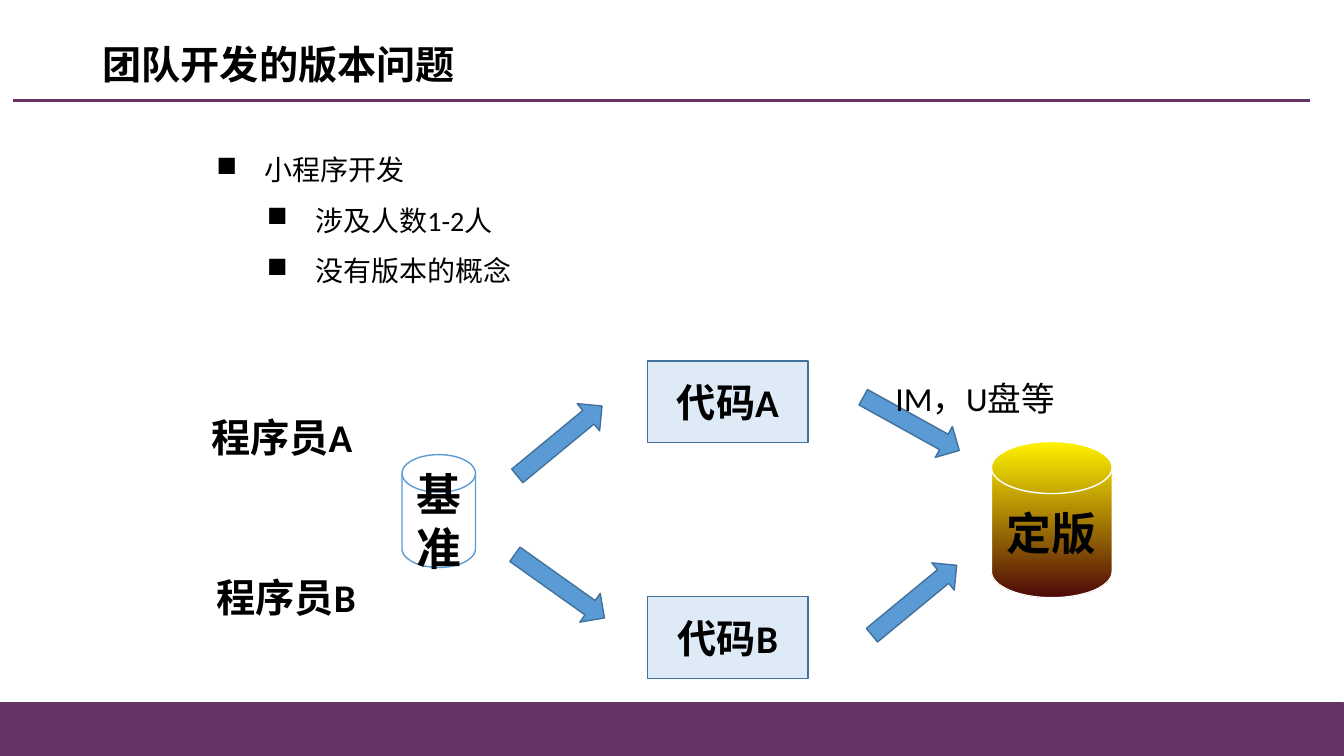
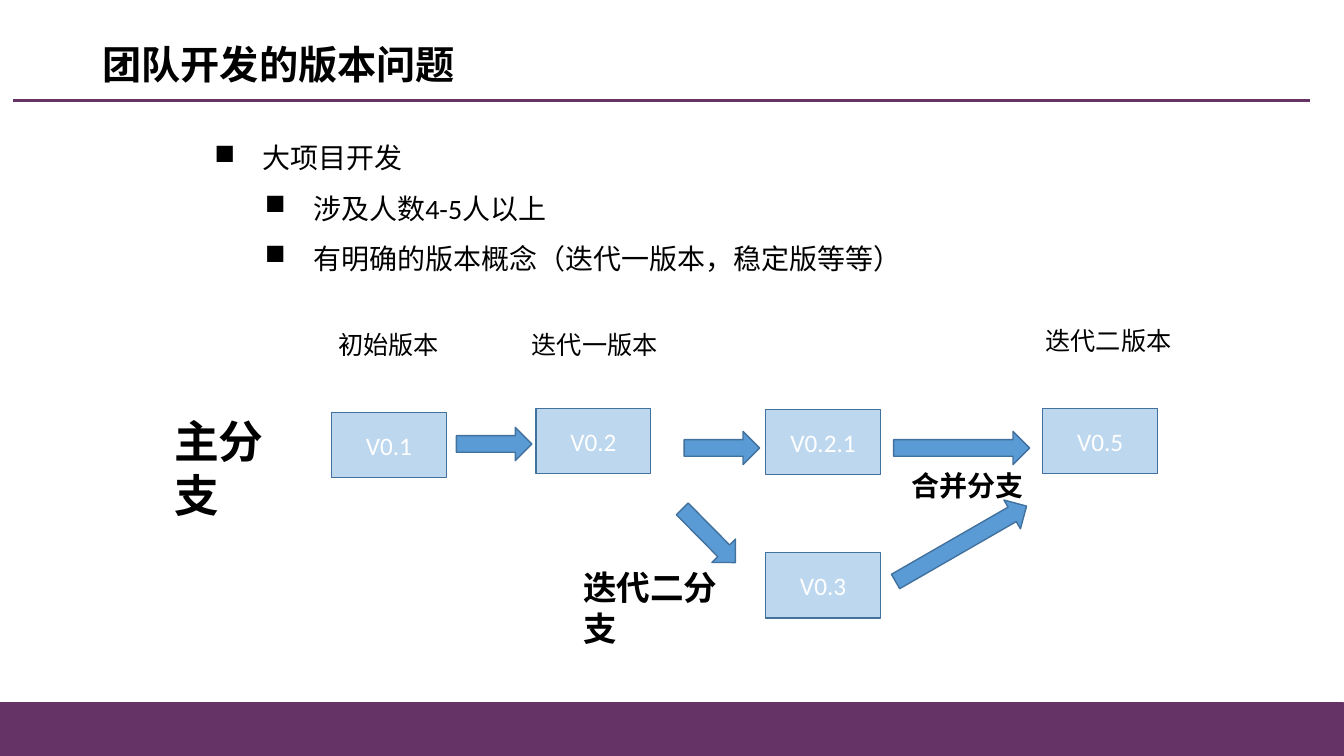
"""Build two slides on version problems in team development."""
from lxml import etree
from pptx import Presentation
from pptx import util as u
from pptx.dml.color import RGBColor
from pptx.enum import shapes, text
from pptx.oxml import ns

PURPLE, BLUE, DARK_BLUE = "663366", "5B9BD5", "41719C"
PALE_BLUE, LIGHT_BLUE = "DEEBF7", "BDD7EE"
BLACK, WHITE = "000000", "FFFFFF"
FONT = "Calibri"
RECT = shapes.MSO_SHAPE.RECTANGLE
ARROW = shapes.MSO_SHAPE.RIGHT_ARROW
DISK = shapes.MSO_SHAPE.FLOWCHART_MAGNETIC_DISK
color = RGBColor.from_string


def add_box(s, kind, box, fill, line, rotation=0):
    sp = s.shapes.add_shape(kind, *map(u.Inches, box))
    sp.shadow.inherit = False
    sp.fill.solid()
    sp.fill.fore_color.rgb = color(fill)
    sp.line.color.rgb = color(line)
    sp.line.width = u.Pt(1)
    sp.rotation = rotation
    return sp


def add_text(s, content, box=None, sp=None, size=18, bold=False, rgb=BLACK,
             wrap=True, anchor="TOP", spacing=None, bullets=False):
    align = text.PP_ALIGN.CENTER if sp else text.PP_ALIGN.LEFT
    fit = text.MSO_AUTO_SIZE.NONE
    if sp is None:
        sp = s.shapes.add_textbox(*map(u.Inches, box))
        if anchor == "TOP":
            fit = text.MSO_AUTO_SIZE.SHAPE_TO_FIT_TEXT
    tf = sp.text_frame
    tf.word_wrap = wrap
    tf.auto_size = fit
    tf.vertical_anchor = text.MSO_ANCHOR[anchor]
    for i, line in enumerate(content.split("\n")):
        p = tf.add_paragraph() if i else tf.paragraphs[0]
        p.alignment = align
        p.line_spacing = spacing
        r = p.add_run()
        r.text = line
        r.font.name, r.font.size, r.font.bold = FONT, u.Pt(size), bold
        r.font.color.rgb = color(rgb)
        if bullets:
            p.level = min(i, 1)
            pPr = p._p.get_or_add_pPr()
            pPr.set("marL", str(u.Inches(0.48 + 0.5 * p.level)))
            pPr.set("indent", str(u.Inches(-0.48)))
            bu_clr = etree.SubElement(pPr, ns.qn("a:buClr"))
            etree.SubElement(bu_clr, ns.qn("a:srgbClr")).set("val", BLACK)
            etree.SubElement(pPr, ns.qn("a:buChar")).set("char", "■")


prs = Presentation()
prs.slide_width, prs.slide_height = u.Inches(13.34), u.Inches(7.5)

outlines = [
    ((2.05, 1.3, 9.95, 1.6), "小程序开发\n涉及人数1-2人\n没有版本的概念"),
    ((2.03, 1.18, 9.96, 1.6),
     "大项目开发\n涉及人数4-5人以上\n有明确的版本概念（迭代一版本，稳定版等等）"),
]
for box, outline in outlines:
    s = prs.slides.add_slide(prs.slide_layouts[6])
    add_box(s, RECT, (0, 6.97, 13.33, 0.55), PURPLE, PURPLE)
    rule = s.shapes.add_connector(shapes.MSO_CONNECTOR.STRAIGHT,
                                  u.Inches(0.13), u.Inches(1), u.Inches(13), u.Inches(1))
    rule.line.color.rgb = color(PURPLE)
    rule.line.width = u.Pt(2.25)
    etree.SubElement(rule._element.spPr, ns.qn("a:effectLst"))
    add_text(s, "团队开发的版本问题", (0.92, 0.3, 11.5, 0.73), size=28, bold=True,
             anchor="MIDDLE", spacing=0.9)
    add_text(s, outline, box, size=20, spacing=1.5, bullets=True)

small, large = prs.slides

for label, top in [("代码A", 3.58), ("代码B", 5.92)]:
    sp = add_box(small, RECT, (6.43, top, 1.59, 0.81), PALE_BLUE, DARK_BLUE)
    add_text(small, label, sp=sp, size=28, bold=True, anchor="MIDDLE")

for label, left, top in [("程序员A", 2, 4.05), ("程序员B", 2.05, 5.64)]:
    add_text(small, label, (left, top, 1.63, 1.04), size=28, bold=True)

baseline = add_box(small, DISK, (3.99, 4.51, 0.73, 1.12), WHITE, BLUE)
final = add_box(small, DISK, (9.84, 4.38, 1.2, 1.55), WHITE, WHITE)
final.fill.gradient()
final.fill.gradient_angle = 270
for stop, position, rgb in zip(final.fill.gradient_stops, (0, 1), ("FFF200", "4D0808")):
    stop.position = position
    stop.color.rgb = color(rgb)
for sp, label in [(baseline, "基准"), (final, "定版")]:
    add_text(small, label, sp=sp, size=32, bold=True, anchor="MIDDLE")

for left, top, rotation in [(5.01, 4.2, 320.5), (5.01, 5.64, 35.4),
                            (8.5, 4.03, 29), (8.53, 5.78, 320.5)]:
    add_box(small, ARROW, (left, top, 1.09, 0.35), BLUE, DARK_BLUE, rotation)
add_text(small, "IM，U盘等", (8.79, 3.7, 2.1, 0.5), size=24, wrap=False)

for label, left, top in [("V0.1", 3.29, 4.09), ("V0.2", 5.32, 4.05), ("V0.5", 10.35, 4.05),
                         ("V0.2.1", 7.6, 4.06), ("V0.3", 7.6, 5.48)]:
    sp = add_box(large, RECT, (left, top, 1.14, 0.65), LIGHT_BLUE, DARK_BLUE)
    add_text(large, label, sp=sp, rgb=WHITE, anchor="MIDDLE")

for left, top, width, rotation in [(4.53, 4.24, 0.75, 0), (6.79, 4.28, 0.75, 0),
                                   (8.87, 4.28, 1.35, 0), (6.66, 5.15, 0.75, 45.3),
                                   (8.79, 5.23, 1.5, 330.1)]:
    add_box(large, ARROW, (left, top, width, 0.33), BLUE, DARK_BLUE, rotation)

for label, box in [("初始版本", (3.26, 3.22, 1.2, 0.4)),
                   ("迭代一版本", (5.18, 3.22, 1.45, 0.4)),
                   ("迭代二版本", (10.28, 3.18, 1.45, 0.4))]:
    add_text(large, label, box, wrap=False)

for label, box, size in [("主分支", (1.63, 4.06, 1.53, 0.64), 32),
                         ("迭代二分支", (5.69, 5.58, 1.86, 0.5), 24),
                         ("合并分支", (8.95, 4.6, 1.31, 0.44), 20)]:
    add_text(large, label, box, size=size, bold=True, wrap=False)

prs.save("out.pptx")
